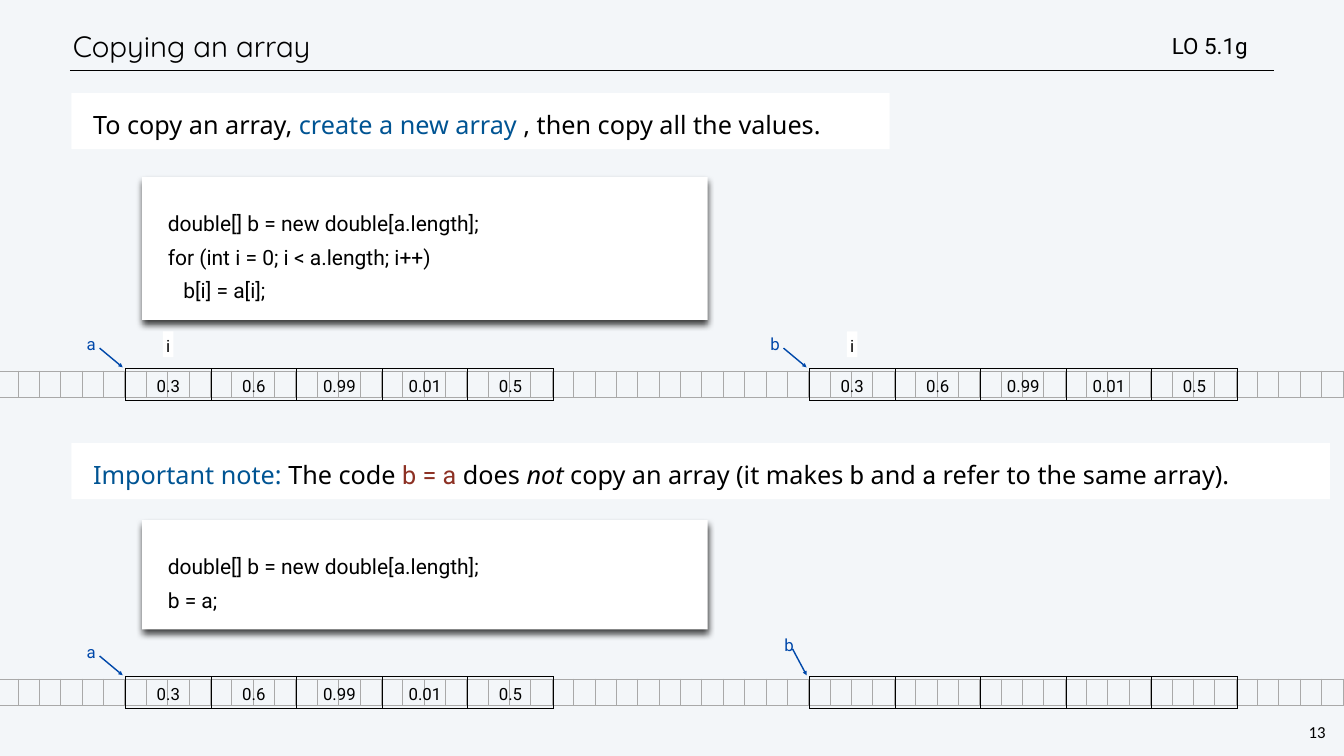
import pptx
import pptx.dml.color
import pptx.enum.shapes
import pptx.enum.text
import pptx.oxml
import pptx.oxml.ns
import pptx.util
from dataclasses import dataclass

Pt = pptx.util.Pt
ANCHOR = pptx.enum.text.MSO_ANCHOR
ALIGN = pptx.enum.text.PP_ALIGN
NAMESPACE = pptx.oxml.ns.nsdecls("a")


@dataclass(frozen=True)
class Theme:
    background: str = "F3F6F9"
    ink: str = "000000"
    paper: str = "FFFFFF"
    grid: str = "A9A9A9"
    accent: str = "005493"
    pointer: str = "0048AA"
    code_word: str = "8D3124"
    title_font: str = "Quicksand"
    body_font: str = "Noto Sans"
    code_font: str = "Roboto"
    number_font: str = "Calibri"
    title_size: int = 42
    body_size: int = 36
    objective_size: int = 32
    code_size: int = 30
    small_size: int = 24


def rgb(color):
    return pptx.dml.color.RGBColor.from_string(color)


def style_font(font, name, size, color):
    font.name, font.size = name, Pt(size)
    font.color.rgb = rgb(color)


class SlideBuilder:
    def __init__(self, page, theme):
        self.page, self.theme = page, theme
        page.background.fill.solid()
        page.background.fill.fore_color.rgb = rgb(theme.background)

    def text(self, area, lines, font, size, color=None, insets=(4, 4), spacing=None,
             align=ALIGN.LEFT, anchor=ANCHOR.TOP, wrap=True, fill=None):
        """Each line is a string, or a list of (text, font, color, italic) spans."""
        color = color or self.theme.ink
        area = [Pt(length) for length in area]
        if fill:
            box = self.page.shapes.add_shape(pptx.enum.shapes.MSO_SHAPE.RECTANGLE, *area)
            box.shadow.inherit = False
            box.fill.solid()
            box.fill.fore_color.rgb = rgb(fill)
            box.line.fill.background()
        else:
            box = self.page.shapes.add_textbox(*area)
        frame = box.text_frame
        frame.word_wrap, frame.vertical_anchor = wrap, anchor
        frame.margin_left = frame.margin_right = Pt(insets[0])
        frame.margin_top = frame.margin_bottom = Pt(insets[1])
        for index, line in enumerate(lines):
            para = frame.paragraphs[0] if index == 0 else frame.add_paragraph()
            para.alignment = align
            if spacing:
                para.line_spacing = spacing
            if isinstance(line, str):
                para.text = line
                style_font(para.font, font, size, color)
            else:
                for words, span_font, span_color, italic in line:
                    span = para.add_run()
                    span.text = words
                    style_font(span.font, span_font, size, span_color)
                    span.font.italic = italic
        return box

    def statement(self, top, width, spans):
        self.text((102, top, width, 80), [spans], self.theme.body_font, self.theme.body_size,
                  insets=(31, 24), spacing=Pt(43), fill=self.theme.paper)

    def code(self, top, height, lines):
        box = self.text((203, top, 808, height), lines, self.theme.code_font,
                        self.theme.code_size, insets=(36.7, 36), spacing=Pt(48),
                        fill=self.theme.paper)
        effects = box._element.spPr.find(pptx.oxml.ns.qn("a:effectLst"))
        effects.append(pptx.oxml.parse_xml(
            f'<a:outerShdw {NAMESPACE} blurRad="{Pt(10)}" dist="{Pt(6)}" dir="5400000" '
            f'rotWithShape="0"><a:srgbClr val="{self.theme.ink}">'
            '<a:alpha val="75000"/></a:srgbClr></a:outerShdw>'))

    def line(self, start, end, color, width, arrow=False):
        connector = self.page.shapes.add_connector(
            pptx.enum.shapes.MSO_CONNECTOR.STRAIGHT, *[Pt(n) for n in (*start, *end)])
        connector.line.color.rgb = rgb(color)
        connector.line.width = Pt(width)
        if arrow:
            connector.line._get_or_add_ln().append(
                pptx.oxml.parse_xml(f'<a:tailEnd {NAMESPACE} type="triangle"/>'))
        connector._element.spPr.append(pptx.oxml.parse_xml(f'<a:effectLst {NAMESPACE}/>'))

    def table(self, left, top, cell_width, height, values, border):
        count = len(values)
        table = self.page.shapes.add_table(
            1, count, Pt(left), Pt(top), Pt(cell_width * count), Pt(height)).table
        table.first_row = table.horz_banding = False
        for column, cell, value in zip(table.columns, table.rows[0].cells, values):
            column.width = Pt(cell_width)
            cell.fill.background()
            cell.vertical_anchor = ANCHOR.MIDDLE
            cell.margin_left = cell.margin_right = Pt(3)
            cell.margin_top = cell.margin_bottom = Pt(3)
            para = cell.text_frame.paragraphs[0]
            para.alignment = ALIGN.CENTER
            para.line_spacing = Pt(34 if value else 20)
            if value:
                para.text = value
            style_font(para.font, self.theme.code_font, self.theme.small_size, self.theme.ink)
            properties = cell._tc.get_or_add_tcPr()
            for index, side in enumerate("LRTB"):
                properties.insert(index, pptx.oxml.parse_xml(
                    f'<a:ln{side} {NAMESPACE} w="{Pt(1)}"><a:solidFill>'
                    f'<a:srgbClr val="{border}"/></a:solidFill></a:ln{side}>'))

    def memory(self, top):
        self.table(-5, top, 30.55, 38, [""] * 65, self.theme.grid)

    def array(self, left, top, values):
        self.table(left, top, 122.25, 46, values, self.theme.ink)

    def label(self, center, top, name, color, width=24, fill=None):
        self.text((center - width / 2, top, width, 37), [name], self.theme.code_font,
                  self.theme.small_size, color, spacing=1.1, align=ALIGN.CENTER,
                  wrap=False, fill=fill)

    def pointer(self, left, top, name, label_offset=(-49, -56), arrow_offset=(-37, -29)):
        self.line((left + arrow_offset[0], top + arrow_offset[1]), (left - 4, top - 1.5),
                  self.theme.pointer, 2, arrow=True)
        self.label(left + label_offset[0], top + label_offset[1], name, self.theme.pointer)


def main():
    deck = pptx.Presentation()
    deck.slide_width, deck.slide_height = Pt(1920), Pt(1080)
    theme = Theme()
    slide = SlideBuilder(deck.slides.add_slide(deck.slide_layouts[6]), theme)

    def body(words, color=theme.ink, italic=False):
        return words, theme.body_font, color, italic

    def code_word(words, color=theme.ink):
        return words, theme.code_font, color, False

    values = ["0.3", "0.6", "0.99", "0.01", "0.5"]
    unfilled = [""] * len(values)
    left_a, left_b = 179.3, 1156.3
    top_copied, top_shared = 526.3, 966.2
    declaration = "double[] b = new double[a.length];"

    # Header
    slide.line((100, 101), (1820, 101), theme.ink, 1)
    slide.text((100, 30, 1629, 71), ["Copying an array"], theme.title_font, theme.title_size,
               spacing=Pt(50), anchor=ANCHOR.MIDDLE)
    slide.text((1670, 42, 215, 47), ["LO 5.1g"], theme.code_font, theme.objective_size,
               anchor=ANCHOR.MIDDLE)

    # Copying: the new array b is allocated first, then filled from a
    slide.statement(133, 1169, [
        body("To copy an array, "), body("create a new array", theme.accent),
        body(" , then copy all the values.")])
    slide.memory(top_copied + 3.6)
    slide.pointer(left_a, top_copied, "a")
    slide.array(left_a, top_copied, values)
    slide.array(left_b, top_copied, unfilled)
    slide.pointer(left_b, top_copied, "b")
    slide.array(left_b, top_copied, values)
    slide.code(253, 204, [declaration, "for (int i = 0; i < a.length; i++)", "   b[i] = a[i];"])
    for left in (left_a, left_b):
        slide.label(left + 61, top_copied - 53, "i", theme.ink, width=15, fill=theme.paper)

    # Sharing: b = a leaves the new array unfilled
    slide.statement(633, 1798, [
        body("Important note: ", theme.accent), body("The code "),
        code_word("b = a", theme.code_word), body(" does "), body("not", italic=True),
        body(" copy an array (it makes "), code_word("b"), body(" and "), code_word("a"),
        body(" refer to the same array).")])
    slide.memory(top_shared + 3.6)
    slide.pointer(left_a, top_shared, "a")
    slide.array(left_a, top_shared, values)
    slide.array(left_b, top_shared, unfilled)
    slide.pointer(left_b, top_shared, "b", (-29, -66), (-24, -39))
    slide.code(743, 156, [declaration, "b = a;"])

    # Page number
    slide.text((1866, 1029, 31, 34), ["13"], theme.number_font, theme.small_size,
               insets=(3, 3), spacing=Pt(28), align=ALIGN.CENTER, wrap=False)

    deck.save("out.pptx")


if __name__ == "__main__":
    main()
